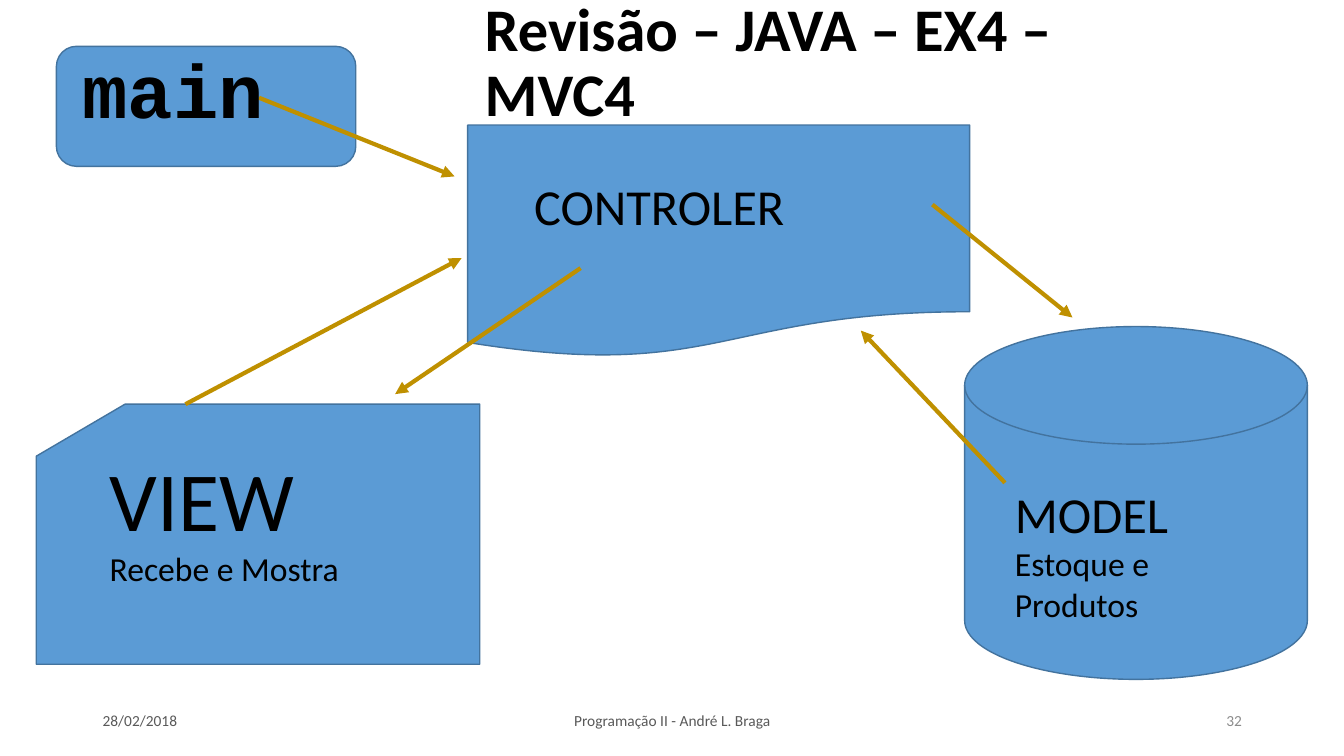
from lxml.etree import SubElement
from pptx import Presentation
from pptx.dml.color import RGBColor
from pptx.enum.shapes import MSO_CONNECTOR as Connector, MSO_SHAPE as Shape
from pptx.enum.text import MSO_ANCHOR as Anchor, PP_ALIGN as Align
from pptx.oxml.ns import qn
from pptx.util import Inches, Pt

COLORS = {
    "background": "FFFFFF",
    "block": "5B9BD5",
    "outline": "43739E",
    "arrow": "BF9000",
    "text": "000000",
    "footer": "595959",
    "number": "8C8C8C",
}


class DiagramSlide:
    columns = 40
    rows = 30
    font = "Calibri"

    def __init__(self, presentation):
        self.column = presentation.slide_width / self.columns
        self.row = presentation.slide_height / self.rows
        self.slide = presentation.slides.add_slide(presentation.slide_layouts[6])
        background = self.slide.background.fill
        background.solid()
        background.fore_color.rgb = self.color("background")

    def color(self, name):
        return RGBColor.from_string(COLORS[name])

    def place(self, *lengths):
        units = (self.column, self.row) * 2
        return [round(length * unit) for length, unit in zip(lengths, units)]

    def block(self, kind, *box):
        shape = self.slide.shapes.add_shape(kind, *self.place(*box))
        shape.shadow.inherit = False
        shape.fill.solid()
        shape.fill.fore_color.rgb = self.color("block")
        shape.line.color.rgb = self.color("outline")
        shape.line.width = Pt(1)

    def arrow(self, *ends):
        connector = self.slide.shapes.add_connector(Connector.STRAIGHT, *self.place(*ends))
        connector.line.color.rgb = self.color("arrow")
        connector.line.width = Pt(3)
        properties = connector.element.spPr
        SubElement(properties.find(qn("a:ln")), qn("a:tailEnd"), type="triangle")
        SubElement(properties, qn("a:effectLst"))

    def text(self, box, lines, color="text", bold=False, font=None,
             align=Align.LEFT, anchor=Anchor.TOP, spacing=1.0):
        frame = self.slide.shapes.add_textbox(*self.place(*box)).text_frame
        frame.word_wrap = True
        frame.vertical_anchor = anchor
        for index, (content, size) in enumerate(lines):
            paragraph = frame.add_paragraph() if index else frame.paragraphs[0]
            paragraph.alignment = align
            paragraph.line_spacing = spacing
            run = paragraph.add_run()
            run.text = content
            run.font.name = font or self.font
            run.font.size = Pt(size)
            run.font.bold = bold
            run.font.color.rgb = self.color(color)

    def footer(self, left, width, content, align, color="footer"):
        self.text((left, 27.8, width, 1.6), [(content, 11)], color,
                  align=align, anchor=Anchor.MIDDLE)


def main():
    presentation = Presentation()
    presentation.slide_width = Inches(13.33)
    presentation.slide_height = Inches(7.5)
    diagram = DiagramSlide(presentation)

    diagram.block(Shape.FLOWCHART_MAGNETIC_DISK, 28.71, 12.96, 10.2, 14)
    diagram.block(Shape.FLOWCHART_CARD, 1.08, 16.04, 13.2, 10.32)
    diagram.block(Shape.FLOWCHART_DOCUMENT, 13.92, 4.96, 14.94, 9.24)
    diagram.block(Shape.FLOWCHART_ALTERNATE_PROCESS, 1.68, 1.84, 8.91, 4.76)

    diagram.text((14.13, 0.52, 21.9, 4.08), [("Revisão – JAVA – EX4 – MVC4", 43.2)],
                 bold=True, anchor=Anchor.MIDDLE, spacing=0.9)
    diagram.footer(2.76, 9, "28/02/2018", Align.LEFT)
    diagram.footer(13.26, 13.5, "Programação II - André L. Braga", Align.CENTER)
    diagram.footer(28.26, 9, "32", Align.RIGHT, "number")

    for ends in (
        (7.71, 3.88, 13.53, 7),
        (5.52, 16.04, 13.74, 10.24),
        (27.75, 8.12, 31.92, 12.6),
        (29.91, 19.16, 25.62, 13.12),
        (17.28, 10.64, 11.76, 15.64),
    ):
        diagram.arrow(*ends)

    diagram.text((15.6, 6.76, 12.33, 2.84), [("CONTROLER", 36)])
    diagram.text((29.91, 18.96, 7.38, 6.04),
                 [("MODEL", 36), ("Estoque e", 24), ("Produtos", 24)])
    diagram.text((2.97, 17.56, 10.56, 6.04), [("VIEW", 60), ("Recebe e Mostra", 24)])
    diagram.text((2.16, 1.52, 6.66, 4.04), [("main", 54)], bold=True, font="Courier New")

    presentation.save("out.pptx")


if __name__ == "__main__":
    main()
